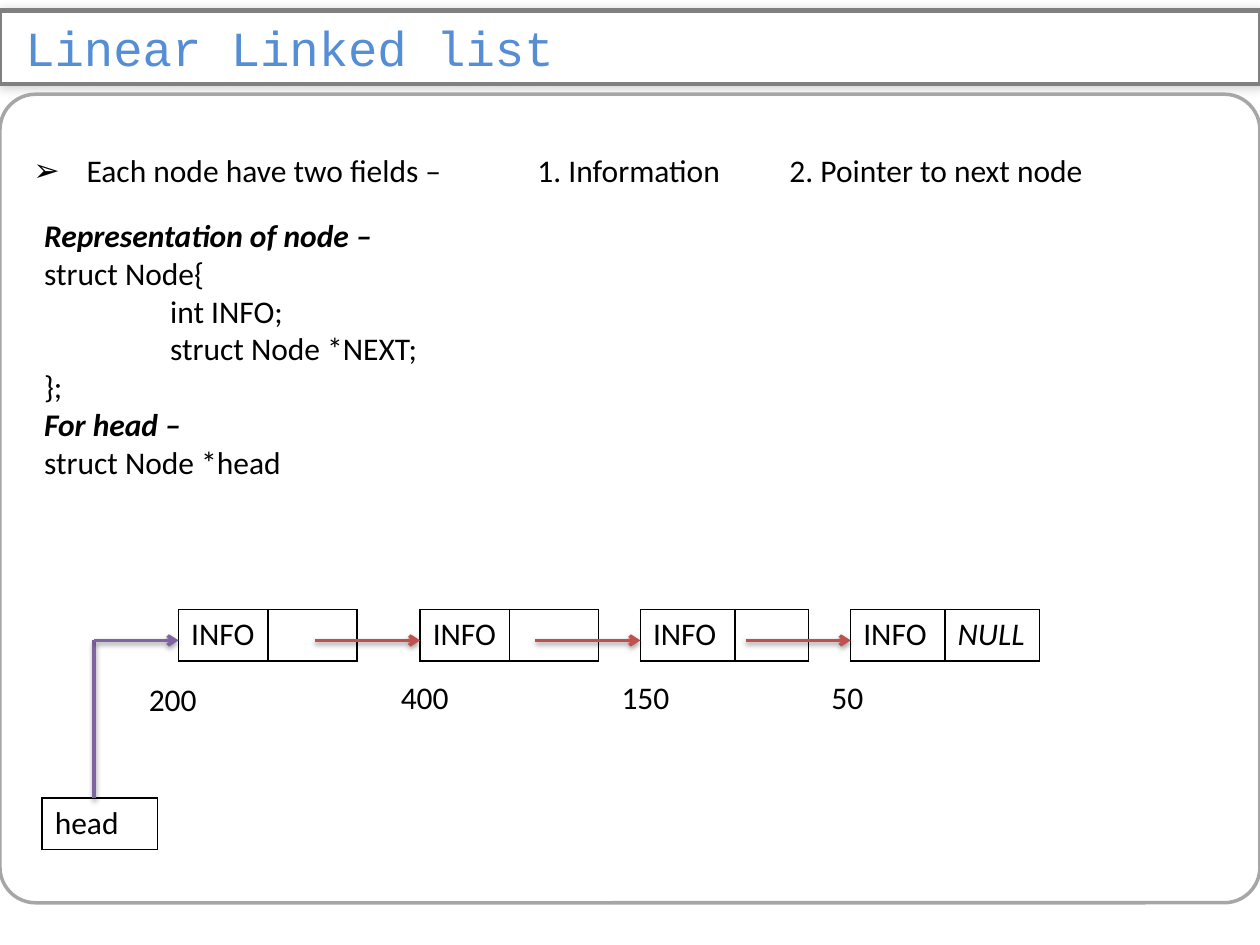
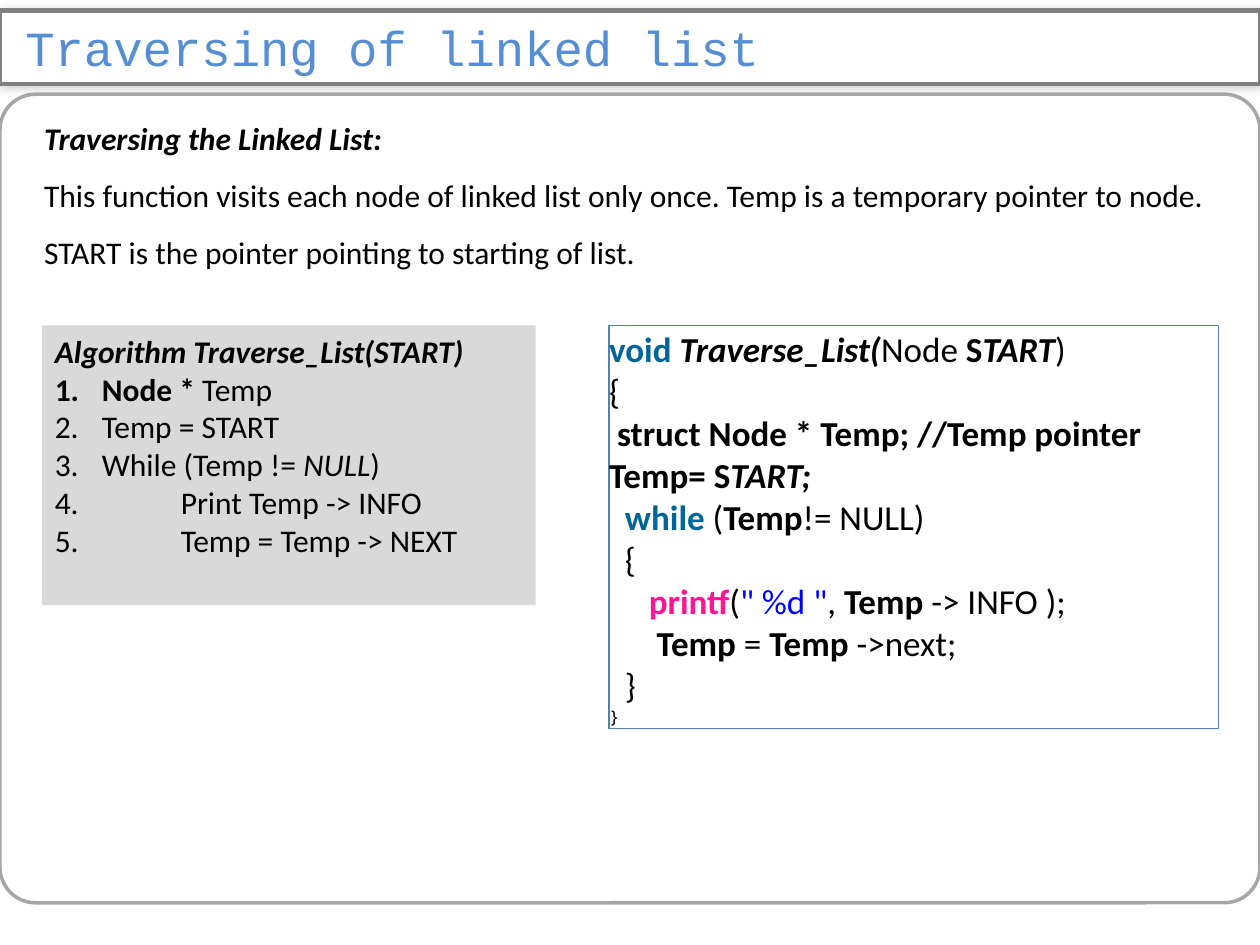
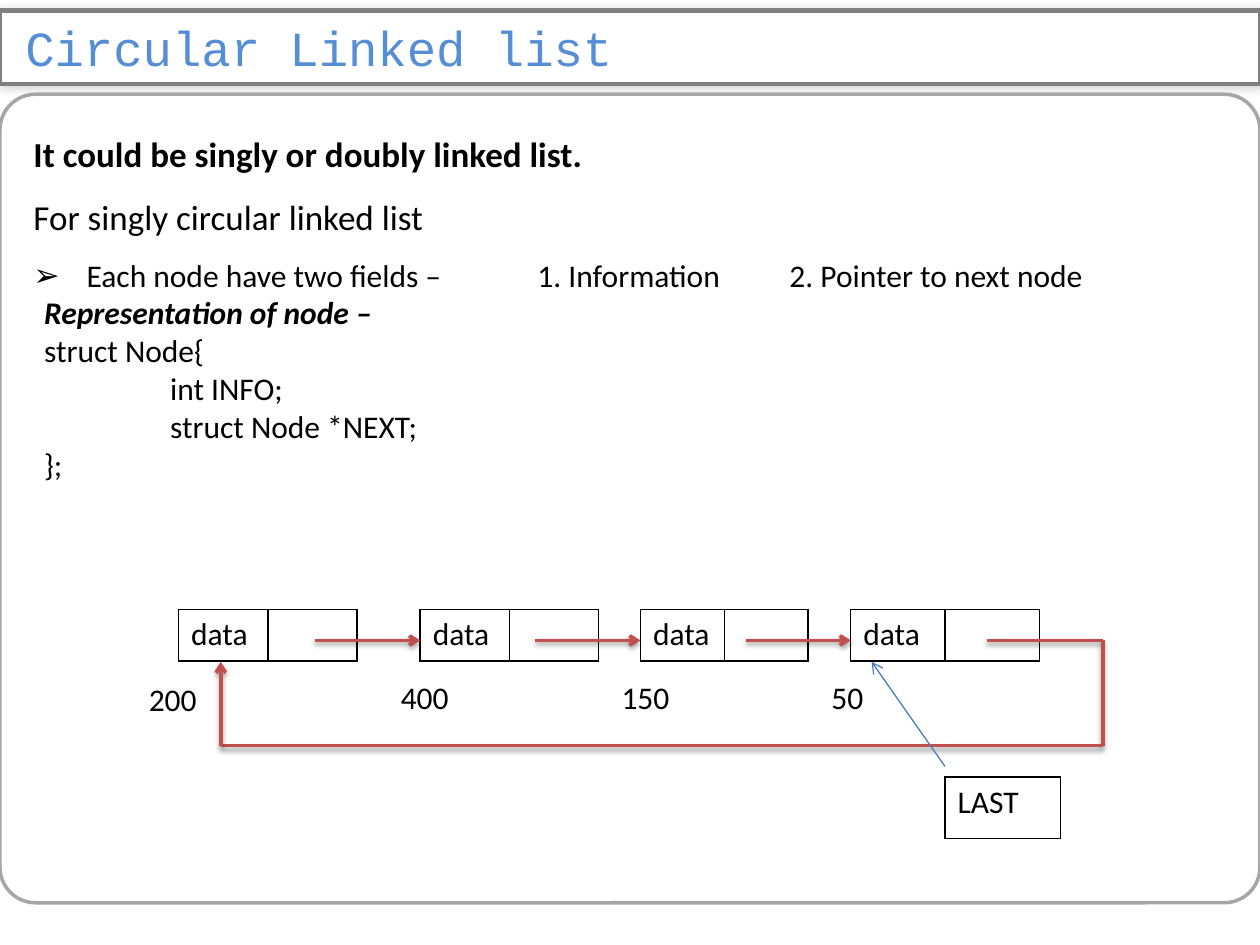
from lxml.etree import SubElement as Sub
from pptx import Presentation
from pptx.dml.color import RGBColor
from pptx.enum.shapes import MSO_CONNECTOR as Link, MSO_SHAPE as Kind
from pptx.enum.text import MSO_ANCHOR as Anchor, MSO_AUTO_SIZE as Auto, PP_ALIGN as Align
from pptx.oxml.ns import qn
from pptx.util import Cm, Pt

BLACK = RGBColor(0, 0, 0)
WHITE = RGBColor(255, 255, 255)
SKY = RGBColor(0x55, 0x8E, 0xD5)
GRAY = RGBColor(0x80, 0x80, 0x80)
SILVER = RGBColor(0xA6, 0xA6, 0xA6)
PALE = RGBColor(0xD9, 0xD9, 0xD9)
BLUE = RGBColor(0x4F, 0x81, 0xBD)
STEEL = RGBColor(0x4B, 0x7E, 0xBC)
RED = RGBColor(0xC0, 0x50, 0x4D)
PURPLE = RGBColor(0x80, 0x64, 0xA2)
TEAL = RGBColor(0x00, 0x66, 0x99)
PINK = RGBColor(0xFF, 0x14, 0x93)
PURE = RGBColor(0, 0, 255)

BASE = {"name": "Calibri", "size": Pt(18), "bold": False, "italic": False}
FRAME = {"word_wrap": True, "auto_size": Auto.NONE, "vertical_anchor": Anchor.TOP}
FLUSH = dict.fromkeys(("margin_left", "margin_right", "margin_top", "margin_bottom"), 0)
BOLD = {"bold": True}
ITAL = {"italic": True}
BOTH = {**BOLD, **ITAL}
BIG = {"size": Pt(20)}
KEY = {**BOLD, "color": TEAL}


def put(obj, vals):
    for key, val in vals.items():
        setattr(obj, key, val)


def node(up, tag, **vals):
    return Sub(up, qn("a:" + tag), {key: str(val) for key, val in vals.items()})


def shade(props, alpha, blur, dist, angle):
    drop = node(node(props, "effectLst"), "outerShdw", blurRad=Pt(blur),
                dist=Pt(dist), dir=angle * 60000, algn="tl", rotWithShape=0)
    tone = node(drop, "srgbClr", val=BLACK)
    node(tone, "alpha", val=alpha * 1000)


class Deck:
    def __init__(self):
        self.prs = Presentation()
        put(self.prs, {"slide_width": Cm(25.4), "slide_height": Cm(19.05)})

    def page(self, title):
        self.slide = self.prs.slides.add_slide(self.prs.slide_layouts[1])
        self.shapes = self.slide.shapes
        self.panel()
        self.title(title)

    def place(self, shape, x, y, w, h):
        put(shape, {"left": Cm(x), "top": Cm(y), "width": Cm(w), "height": Cm(h)})

    def panel(self):
        box = self.box(Kind.ROUNDED_RECTANGLE, 0, 1.9, 25.4, 16.3, SILVER, 2)
        box.adjustments[0] = 0.044

    def title(self, text):
        band = self.shapes.title
        self.place(band, 0, 0.21, 25.4, 1.48)
        geom = node(band._element.spPr, "prstGeom", prst="roundRect")
        node(node(geom, "avLst"), "gd", name="adj", fmla="val 40900")
        self.paint(band, WHITE, GRAY, 2.5)
        shade(band._element.spPr, 20, 6, 1, 45)
        look = {"name": "Courier New", "size": Pt(28), "color": SKY}
        self.flow(band.text_frame, [[text]], look, **{
            **FLUSH, "margin_left": Cm(0.51), "margin_right": Cm(0.25),
            "vertical_anchor": Anchor.MIDDLE})

    def paint(self, shape, fill=None, line=None, width=1):
        if fill is None:
            shape.fill.background()
        else:
            shape.fill.solid()
            shape.fill.fore_color.rgb = fill
        if line is None:
            shape.line.fill.background()
        else:
            shape.line.color.rgb = line
            shape.line.width = Pt(width)

    def box(self, kind, x, y, w, h, line, width):
        shape = self.shapes.add_shape(kind, Cm(x), Cm(y), Cm(w), Cm(h))
        shape.shadow.inherit = False
        self.paint(shape, None, line, width)
        return shape

    def flow(self, frame, paras, look={}, **opts):
        put(frame, {**FRAME, **opts})
        for num, para in enumerate(paras):
            line = frame.add_paragraph() if num else frame.paragraphs[0]
            self.fill(line, para, look)

    def fill(self, line, para, look):
        form = {}
        if isinstance(para[0], dict):
            form, para = para[0], para[1:]
        put(line, {"alignment": Align.LEFT, "space_before": Pt(0),
                   "line_spacing": form.get("space", 1.0)})
        props = line._p.get_or_add_pPr()
        props.set("marL", str(Cm(form.get("left", 0))))
        props.set("indent", str(Cm(form.get("hang", 0))))
        tag, vals = form.get("mark", ("buNone", {}))
        node(props, tag, **vals)
        if "tabs" in form:
            stops = node(props, "tabLst")
            for pos in form["tabs"]:
                node(stops, "tab", pos=Cm(pos), algn="l")
        for part in para:
            text, style = (part, {}) if isinstance(part, str) else part
            run = line.add_run()
            run.text = text
            vals = {**BASE, "color": BLACK, **look, **style}
            run.font.color.rgb = vals.pop("color")
            put(run.font, vals)

    def body(self, x, y, w, h, paras, back=None):
        shape = self.slide.placeholders[1]
        self.place(shape, x, y, w, h)
        self.paint(shape, back)
        self.flow(shape.text_frame, paras)

    def text(self, x, y, w, h, paras):
        shape = self.shapes.add_textbox(Cm(x), Cm(y), Cm(w), Cm(h))
        self.flow(shape.text_frame, paras)

    def code(self, x, y, w, h, paras):
        shape = self.box(Kind.RECTANGLE, x, y, w, h, BLUE, 0.75)
        self.flow(shape.text_frame, paras, BIG, **FLUSH | {"vertical_anchor": Anchor.MIDDLE})

    def table(self, x, y, h, cols, words):
        grid = self.shapes.add_table(1, len(cols), Cm(x), Cm(y), Cm(sum(cols)), Cm(h)).table
        put(grid, {"first_row": False, "horz_banding": False})
        grid.rows[0].height = Cm(h)
        for num, (wide, word) in enumerate(zip(cols, words)):
            grid.columns[num].width = Cm(wide)
            cell = grid.cell(0, num)
            props = cell._tc.get_or_add_tcPr()
            for side in "LRTB":
                edge = node(props, "ln" + side, w=Pt(1))
                node(node(edge, "solidFill"), "srgbClr", val=BLACK)
            cell.fill.background()
            if word:
                self.fill(cell.text_frame.paragraphs[0], [word], {})

    def line(self, start, end, color=RED, width=2, head=True, dark=True):
        wire = self.shapes.add_connector(Link.STRAIGHT, *map(Cm, start + end))
        wire.line.color.rgb = color
        wire.line.width = Pt(width)
        props = wire._element.spPr
        if head:
            node(props.find(qn("a:ln")), "tailEnd", type="arrow")
        if dark:
            shade(props, 38, 3.1, 1.6, 90)
        else:
            node(props, "effectLst")

    def trail(self, points, color=RED):
        for num in range(1, len(points)):
            self.line(points[num - 1], points[num], color, head=num == len(points) - 1)

    def chain(self, word, third, last=""):
        spots = (3.6, 8.47, 12.91, 17.15)
        sizes = ((1.8, 1.8), (1.8, 1.8), third, (1.9, 1.9))
        for x, cols in zip(spots, sizes):
            self.table(x, 12.29, 1.03, cols, (word, last if x == spots[-1] else ""))
        for x in spots[1:]:
            self.line((x - 2.12, MID), (x, MID))
        tags = ((2.75, 13.59, "200"), (7.83, 13.55, "400"),
                (12.28, 13.55, "150"), (16.51, 13.55, "50"))
        for x, y, tag in tags:
            self.text(x, y, 2.12, 1.03, [[tag]])


MID = 12.91
WIDE = {"space": 1.5}
FIELDS = [{**WIDE, "mark": ("buChar", {"char": "➢"}), "tabs": (1.07, 10.16, 15.24)},
          "\tEach node have two fields –\t1. Information\t2. Pointer to next node"]
DEEP = {"left": 2.54}
STRUCT = [
    [("Representation of node –", BOTH)],
    ["struct Node{"],
    [DEEP, "int INFO;"],
    [DEEP, "struct Node *NEXT;"],
    ["};"],
]


def step(left):
    return {"left": left, "hang": -left, "mark": ("buAutoNum", {"type": "arabicPeriod"})}


def tab(count):
    return {"left": count * 0.16}


deck = Deck()

deck.page("Linear Linked list")
deck.body(0.42, 2.54, 24.55, 2.18, [FIELDS])
deck.chain("INFO", (1.91, 1.48), ("NULL", ITAL))
deck.table(0.85, 16.09, 1.03, (2.33,), ("head",))
deck.trail([(1.9, 16.09), (1.9, MID), (3.6, MID)], PURPLE)
deck.text(0.64, 4.23, 22.86, 5.64,
          STRUCT + [[("For head –", BOTH)], ["struct Node *head"]])

deck.page("Traversing of linked list")
deck.text(0.64, 1.9, 23.92, 4.5, [
    [WIDE, ("Traversing the Linked List:", BOTH)],
    [WIDE, "This function visits each node of linked list only once. Temp is a "
           "temporary pointer to node. START is the pointer pointing to starting of list."],
])
deck.body(0.85, 6.56, 9.95, 5.64, [
    [("Algorithm Traverse_List(START)", BOTH)],
    [step(0.95), ("Node *", BOLD), " Temp"],
    [step(0.95), "Temp = START"],
    [step(0.95), "While (Temp != ", ("NULL", ITAL), ")"],
    [step(2.54), "Print Temp -> INFO"],
    [step(2.54), "Temp = Temp -> NEXT"],
], PALE)
deck.code(12.28, 6.56, 12.28, 8.13, [
    [("void ", KEY), ("Traverse_List(", BOTH), "Node ", ("S", BOLD), ("TART", BOTH), ")"],
    ["{"],
    [tab(1), ("struct Node * Temp; //Temp pointer", BOLD)],
    [("Temp= S", BOLD), ("TART;", BOTH)],
    [tab(2), ("while", KEY), " (", ("Temp", BOLD), "!= NULL)"],
    [tab(2), "{"],
    [tab(5), ("printf", {**BOLD, "color": PINK}), "(", ("\" %d \"", {"color": PURE}),
     ", ", ("Temp ", BOLD), "-> INFO );"],
    [tab(6), ("Temp ", BOLD), "= ", ("Temp ", BOLD), "->next;"],
    [tab(2), "}"],
    [("}", {"name": "Noto Sans Mono", "size": Pt(10)})],
])

deck.page("Circular Linked list")
deck.body(0.42, 2.12, 24.55, 4.75, [
    [WIDE, ("It could be singly or doubly linked list.", {**BIG, **BOLD})],
    [WIDE, ("For singly circular linked list", BIG)],
    FIELDS,
])
deck.chain("data", (1.69, 1.69))
deck.table(19.05, 15.66, 1.24, (2.33,), ("LAST",))
deck.text(0.64, 5.79, 22.86, 4.11, STRUCT)
deck.trail([(19.9, MID), (22.23, MID), (22.23, 15.03), (4.45, 15.03), (4.45, 13.34)])
deck.line((19.05, 15.45), (17.57, 13.34), STEEL, 0.75, dark=False)

deck.prs.save("out.pptx")
